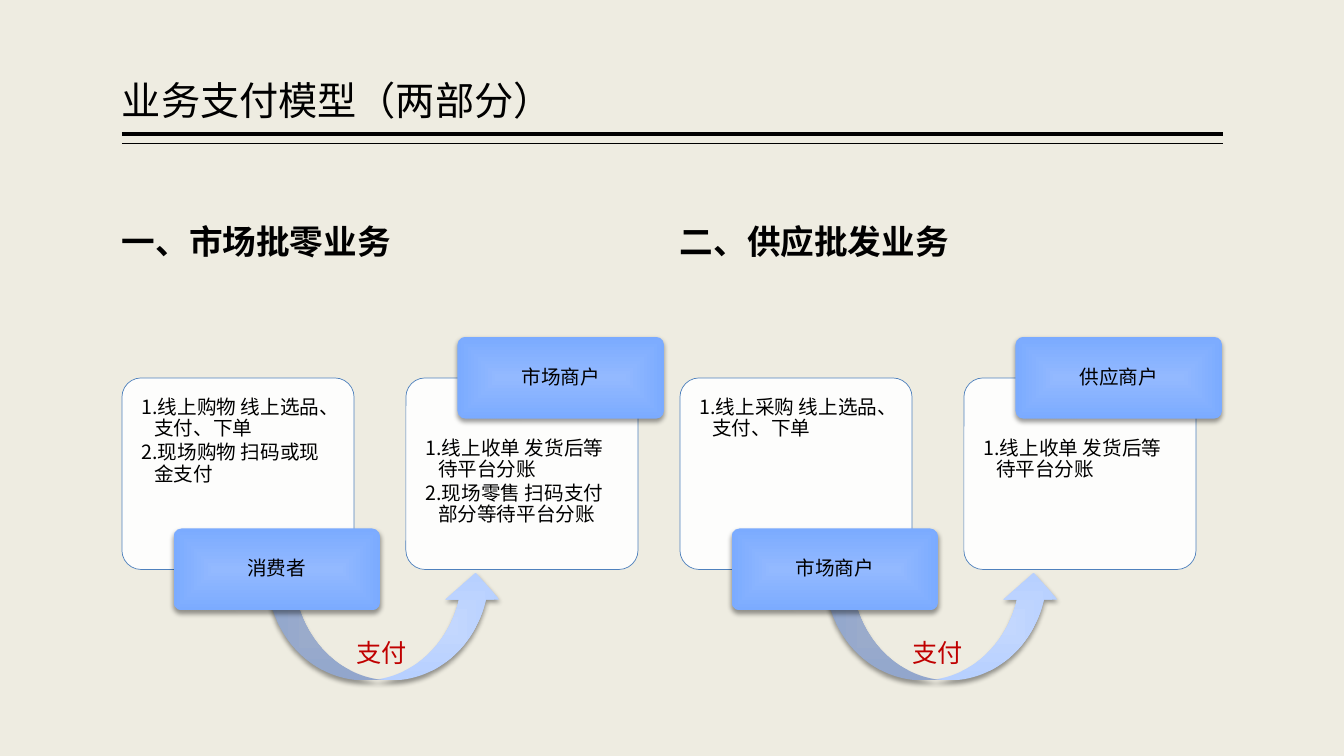
"""Build the slide on the two-part payment model."""
from lxml import etree
from pptx import Presentation
from pptx.dml.color import RGBColor
from pptx.enum import shapes as kinds, text as layout
from pptx.oxml.ns import qn
from pptx.util import Pt

colour = RGBColor.from_string
CJK = "Noto Sans CJK SC"
LEFT, RIGHT = 87.12, 873.36
TOP, MIDDLE = layout.MSO_ANCHOR.TOP, layout.MSO_ANCHOR.MIDDLE
BOTTOM = layout.MSO_ANCHOR.BOTTOM
START, CENTRE = layout.PP_ALIGN.LEFT, layout.PP_ALIGN.CENTER


def write(shape, lines, size, insets, anchor=TOP, align=START, font=CJK,
          ink="000000", bold=False, spacing=0.9, numbered=False):
    """Fill a shape with paragraphs of uniform style."""
    frame = shape.text_frame
    frame.word_wrap = True
    frame.vertical_anchor = anchor
    frame.margin_left = frame.margin_right = Pt(insets[0])
    frame.margin_top, frame.margin_bottom = Pt(insets[1]), Pt(insets[2])
    for index, line in enumerate(lines):
        paragraph = frame.add_paragraph() if index else frame.paragraphs[0]
        paragraph.alignment = align
        paragraph.line_spacing = spacing
        if numbered:
            paragraph.space_after = Pt(2.1)
            properties = paragraph._p.get_or_add_pPr()
            properties.set("marL", str(Pt(9)))
            properties.set("indent", str(Pt(-9)))
            etree.SubElement(properties, qn("a:buAutoNum"), type="arabicPeriod")
        run = paragraph.add_run()
        run.text = line
        run.font.size, run.font.bold, run.font.name = Pt(size), bold, font
        run.font.color.rgb = colour(ink)
        etree.SubElement(run._r.get_or_add_rPr(), qn("a:ea"), typeface=font)


def raise_with_gradient(shape, inner, outer):
    """Give a shape a rectangular gradient and a soft shadow below."""
    shape.line.fill.background()
    shape.fill.gradient()
    for stop, tone in zip(shape.fill.gradient_stops, (inner, outer)):
        stop.color.rgb = colour(tone)
    gradient = shape._element.spPr.find(qn("a:gradFill"))
    gradient.remove(gradient.find(qn("a:lin")))
    spread = etree.SubElement(gradient, qn("a:path"), path="rect")
    etree.SubElement(spread, qn("a:fillToRect"),
                     {side: "50000" for side in "ltrb"})
    shape.shadow.inherit = False
    effects = shape._element.spPr.find(qn("a:effectLst"))
    shadow = etree.SubElement(effects, qn("a:outerShdw"), blurRad=str(Pt(3.5)),
                              dist=str(Pt(2)), dir="5400000", rotWithShape="0")
    black = etree.SubElement(shadow, qn("a:srgbClr"), val="000000")
    etree.SubElement(black, qn("a:alpha"), val="38000")


deck = Presentation()
deck.slide_width, deck.slide_height = Pt(960), Pt(540)
slide = deck.slides.add_slide(deck.slide_layouts[6])
slide.background.fill.solid()
slide.background.fill.fore_color.rgb = colour("EEECE1")
canvas = slide.shapes

for rule_y, weight in ((95.8, 3), (102.7, 1)):
    rule = canvas.add_connector(kinds.MSO_CONNECTOR.STRAIGHT, Pt(LEFT),
                                Pt(rule_y), Pt(RIGHT), Pt(rule_y))
    rule.line.color.rgb = colour("000000")
    rule.line.width = Pt(weight)
    etree.SubElement(rule._element.spPr, qn("a:effectLst"))

title = canvas.add_textbox(Pt(LEFT), Pt(5.76), Pt(RIGHT - LEFT), Pt(86.4))
write(title, ["业务支付模型（两部分）"], 28, (0, 3.6, 3.6), BOTTOM, font="Lato")

businesses = [
    (LEFT, 247.7, "一、市场批零业务",
     "消费者", ["线上购物 线上选品、支付、下单", "现场购物 扫码或现金支付"],
     "市场商户", ["线上收单 发货后等待平台分账", "现场零售 扫码支付部分等待平台分账"]),
    (485.7, 644.4, "二、供应批发业务",
     "市场商户", ["线上采购 线上选品、支付、下单"],
     "供应商户", ["线上收单 发货后等待平台分账"]),
]

for x, label_x, name, payer, payer_steps, payee, payee_steps in businesses:
    heading = canvas.add_textbox(Pt(x), Pt(126), Pt(387.4), Pt(64.8))
    write(heading, [name], 24, (0, 3.6, 3.6), BOTTOM, font="Roboto", bold=True)

    parties = [(x, payer, payer_steps, 10, 377.5, True),
               (x + 202.8, payee, payee_steps, 39, 240.6, False)]
    for party_x, party, steps, steps_inset, tag_y, pays in parties:
        panel = canvas.add_shape(kinds.MSO_SHAPE.ROUNDED_RECTANGLE, Pt(party_x),
                                 Pt(270), Pt(165.8), Pt(136.8))
        panel.adjustments[0] = 0.1
        panel.shadow.inherit = False
        panel.fill.solid()
        panel.fill.fore_color.rgb = colour("FFFFFF")
        white = panel._element.spPr.find(qn("a:solidFill"))[0]
        etree.SubElement(white, qn("a:alpha"), val="90000")
        panel.line.color.rgb = colour("4F81BD")
        panel.line.width = Pt(0.5)
        write(panel, steps, 14, (10, steps_inset, 0), numbered=True)

        if pays:
            flow = canvas.add_shape(kinds.MSO_SHAPE.CURVED_UP_ARROW,
                                    Pt(x + 103.4), Pt(409), Pt(168.5), Pt(77))
            raise_with_gradient(flow, "C3D7FE", "B7D0FF")

        tag = canvas.add_shape(kinds.MSO_SHAPE.ROUNDED_RECTANGLE,
                               Pt(party_x + 36.8), Pt(tag_y), Pt(147.6), Pt(58.5))
        tag.adjustments[0] = 0.1
        raise_with_gradient(tag, "93B9FF", "7BABFF")
        write(tag, [party], 14, (2, 1.4, 1.4), MIDDLE, CENTRE)

    payment = canvas.add_textbox(Pt(label_x), Pt(451.4), Pt(58.3), Pt(28.8))
    write(payment, ["支付"], 18, (7.2, 3.6, 3.6), ink="C00000", spacing=1.0)

deck.save("out.pptx")
